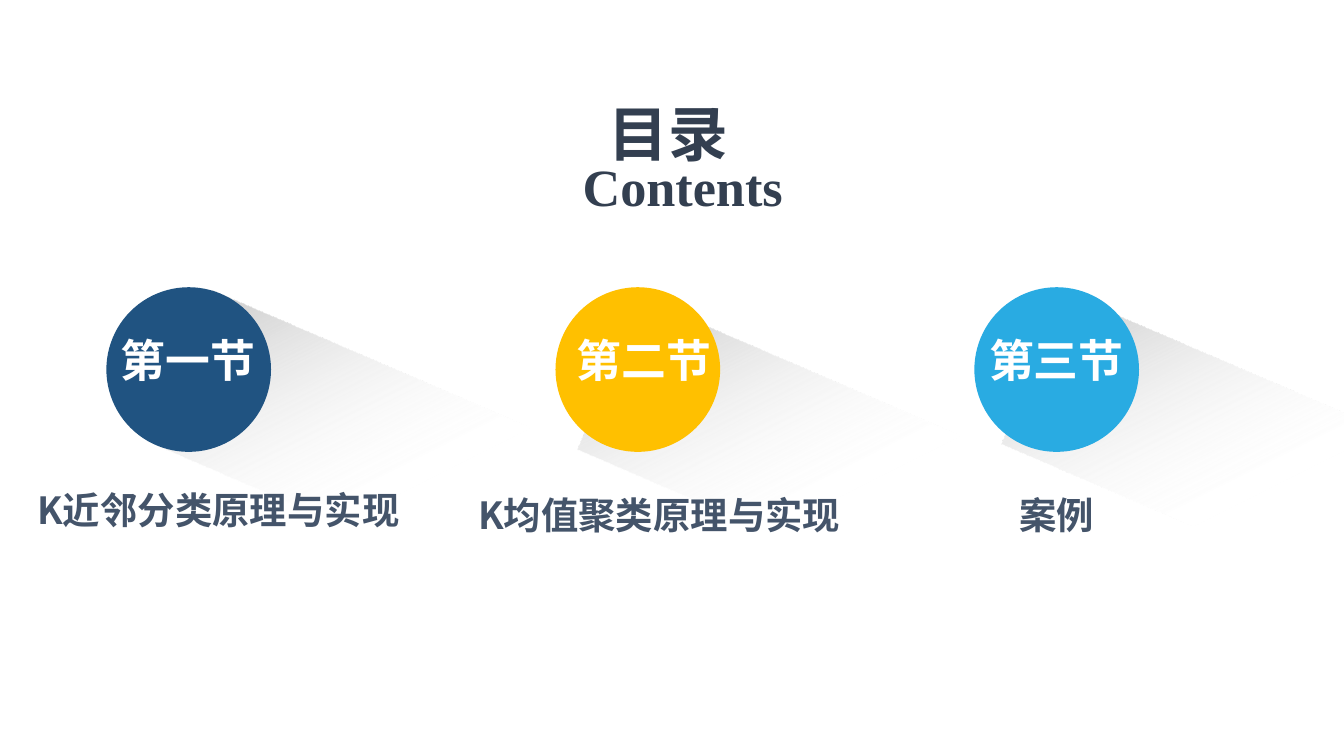
from dataclasses import dataclass

from lxml import etree
from pptx import Presentation
from pptx.dml.color import RGBColor
from pptx.enum import shapes, text
from pptx.oxml.ns import qn
from pptx.util import Pt


@dataclass(frozen=True)
class Theme:
    cjk: str = "Noto Sans CJK SC"
    latin: str = "Times New Roman"
    title: str = "333F50"
    caption: str = "44546A"
    white: str = "FFFFFF"
    shade: str = "BFBFBF"
    title_size: int = 32
    subtitle_size: int = 28
    label_size: int = 24
    caption_size: int = 20


@dataclass(frozen=True)
class Section:
    label: str
    caption: str
    color: str
    circle_x: float
    label_x: float
    shadow_at: tuple
    caption_box: tuple


THEME = Theme()
CIRCLE_TOP, CIRCLE_SIZE = 153.9, 88.2
SECTIONS = [
    Section("第一节", "K近邻分类原理与实现", "205381", 57, 53.3,
            (85.7, 205.2), (14.4, 262.8, 205.2, 24.5)),
    Section("第二节", "K均值聚类原理与实现", "FFC000", 297.6, 297.4,
            (316.1, 209.5), (254.9, 265.7, 196.6, 24.5)),
    Section("第三节", "案例", "29ABE2", 522, 518.4,
            (542.9, 206.6), (544, 265.7, 44, 24.5)),
]


def points(*values):
    return [Pt(v) for v in values]


def write(sp, words, size, color, font=THEME.cjk, align=text.PP_ALIGN.CENTER,
          anchor=text.MSO_ANCHOR.TOP, wrap=True, spacing=0.9):
    """Fill a shape with one bold paragraph, without insets."""
    tf = sp.text_frame
    tf.text = words
    tf.word_wrap = wrap
    tf.auto_size = text.MSO_AUTO_SIZE.NONE
    tf.vertical_anchor = anchor
    tf.margin_left = tf.margin_right = tf.margin_top = tf.margin_bottom = 0
    p = tf.paragraphs[0]
    p.alignment, p.line_spacing = align, spacing
    r = p.runs[0]
    r.font.name, r.font.size, r.font.bold = font, Pt(size), True
    r.font.color.rgb = RGBColor.from_string(color)
    etree.SubElement(r.font._element, qn("a:ea"), typeface=font)


def add_text(s, box, *args, **kwargs):
    write(s.shapes.add_textbox(*points(*box)), *args, **kwargs)


def add_shadow(s, left, top):
    """Add a slanted long shadow that fades from grey to clear."""
    sp = s.shapes.add_shape(shapes.MSO_SHAPE.RECTANGLE, *points(left, top, 267.8, 87.8))
    sp.rotation = 23.3
    sp.shadow.inherit = False
    sp.line.fill.background()
    sp.fill.gradient()
    sp.fill.gradient_angle = 320
    start, end = sp.fill.gradient_stops
    start.position, end.position = 0, 0.54
    start.color.rgb = RGBColor.from_string(THEME.shade)
    end.color.rgb = RGBColor.from_string(THEME.white)
    clear = list(sp._element.spPr.iter(qn("a:srgbClr")))[-1]
    etree.SubElement(clear, qn("a:alpha"), val="0")


def add_circle(s, left, color):
    sp = s.shapes.add_shape(shapes.MSO_SHAPE.OVAL,
                            *points(left, CIRCLE_TOP, CIRCLE_SIZE, CIRCLE_SIZE))
    sp.shadow.inherit = False
    sp.line.fill.background()
    sp.fill.solid()
    sp.fill.fore_color.rgb = RGBColor.from_string(color)


def add_heading(s):
    title = s.shapes.title
    title.left, title.top, title.width, title.height = points(326.2, 56.2, 79.2, 36)
    write(title, "目录", THEME.title_size, THEME.title, align=text.PP_ALIGN.JUSTIFY)
    add_text(s, (320.4, 54.7, 90.7, 89.3), "Contents", THEME.subtitle_size, THEME.title,
             font=THEME.latin, anchor=text.MSO_ANCHOR.MIDDLE, wrap=False, spacing=1.0)


def main():
    prs = Presentation()
    prs.slide_width, prs.slide_height = points(720, 405)
    s = prs.slides.add_slide(prs.slide_layouts[5])
    add_heading(s)
    for section in SECTIONS:
        add_shadow(s, *section.shadow_at)
    for section in SECTIONS:
        add_circle(s, section.circle_x, section.color)
        add_text(s, (section.label_x, 181.4, 95, 32), section.label,
                 THEME.label_size, THEME.white, wrap=False)
        add_text(s, section.caption_box, section.caption, THEME.caption_size,
                 THEME.caption, anchor=text.MSO_ANCHOR.MIDDLE, spacing=0.82)
    prs.save("out.pptx")


if __name__ == "__main__":
    main()
